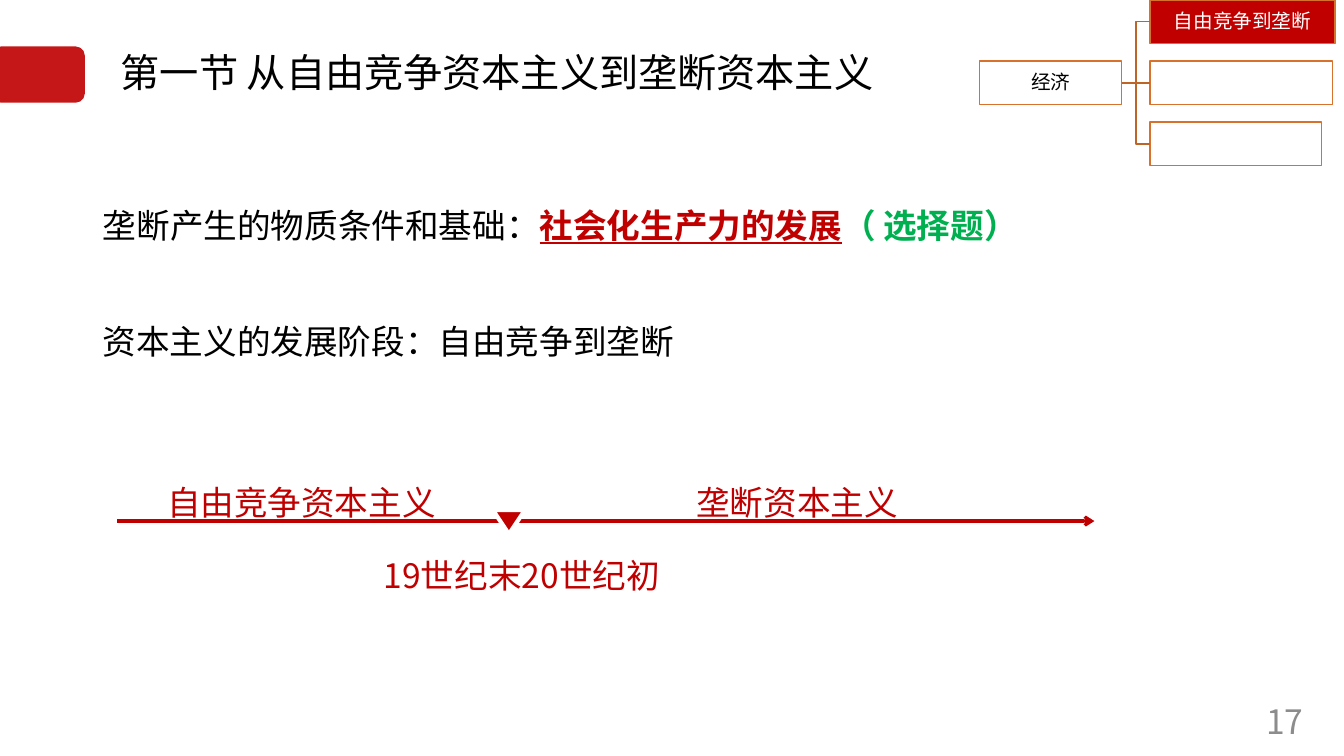
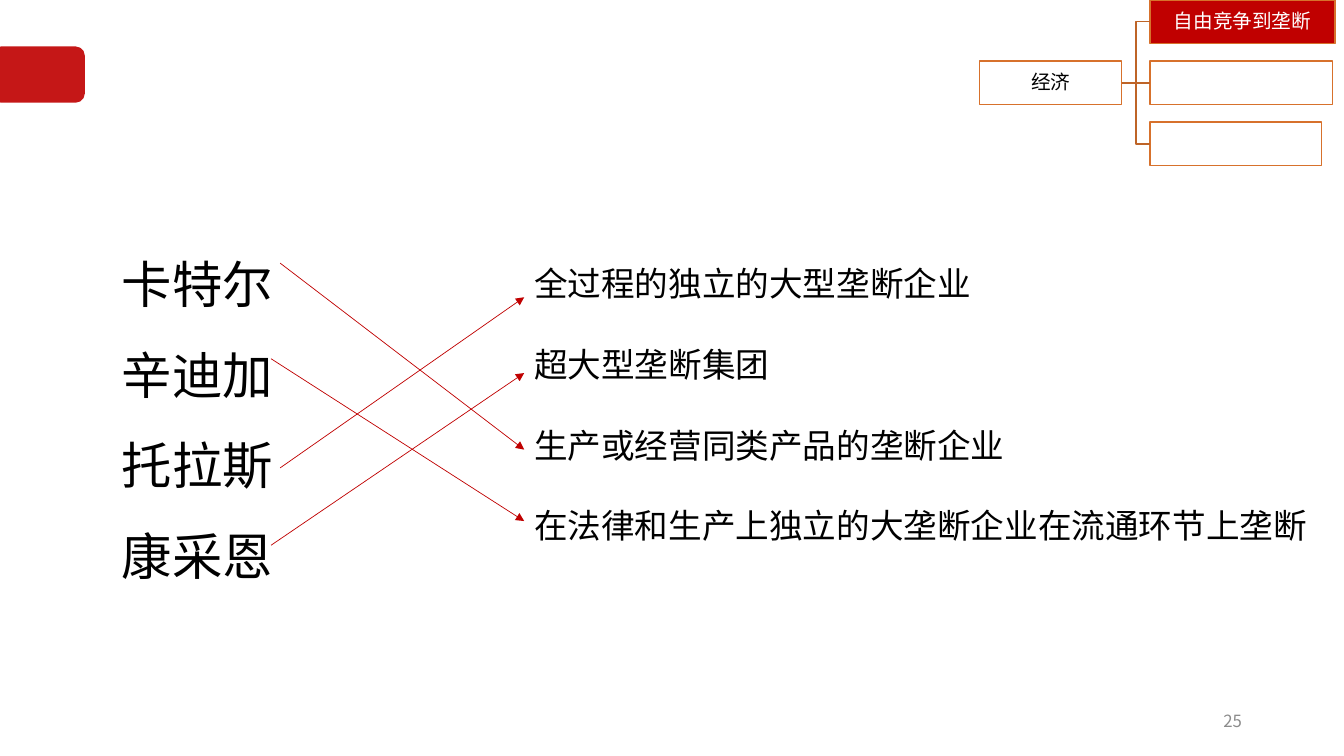
from dataclasses import dataclass
from typing import Optional

from lxml.etree import SubElement
from pptx import Presentation
from pptx.dml.color import RGBColor
from pptx.enum.shapes import MSO_CONNECTOR as Route, MSO_SHAPE as Preset
from pptx.enum.text import MSO_ANCHOR as Anchor, MSO_AUTO_SIZE as AutoSize, PP_ALIGN as Align
from pptx.oxml.ns import qn
from pptx.shapes.autoshape import Shape
from pptx.shapes.connector import Connector
from pptx.slide import Slide
from pptx.text.text import TextFrame, _Paragraph as Paragraph
from pptx.util import Cm, Pt

FONT = "Noto Sans CJK SC"
RED = RGBColor(0xC0, 0x00, 0x00)
GREEN = RGBColor(0x00, 0xB0, 0x50)
BLACK = RGBColor(0x00, 0x00, 0x00)
WHITE = RGBColor(0xFF, 0xFF, 0xFF)
GREY = RGBColor(0x8C, 0x8C, 0x8C)
ORANGE = RGBColor(0xD7, 0x71, 0x2C)
BROWN = RGBColor(0xBE, 0x64, 0x27)

TREE_ROW_STEP = 1.54
TREE_BOX_HEIGHT = 1.1
DEFINITIONS_LEFT = 13.21


@dataclass(frozen=True)
class Area:
    left: float
    top: float
    width: float
    height: float

    def lengths(self) -> tuple[Cm, Cm, Cm, Cm]:
        return Cm(self.left), Cm(self.top), Cm(self.width), Cm(self.height)


@dataclass(frozen=True)
class Branch:
    text: str
    width: float
    fill: RGBColor


@dataclass(frozen=True)
class Label:
    text: str
    area: Area


@dataclass(frozen=True)
class Match:
    left: float
    top: float
    end_top: float


BRANCHES = [
    Branch("自由竞争到垄断", 4.67, RED),
    Branch("", 4.6, WHITE),
    Branch("", 4.32, WHITE),
]
TIMELINE_LABELS = [
    Label("19世纪末20世纪初", Area(9.42, 13.36, 8.28, 1.8)),
    Label("自由竞争资本主义", Area(3.96, 11.51, 8.36, 3.15)),
    Label("垄断资本主义", Area(17.3, 11.51, 6.22, 3.15)),
]
TERMS = ["卡特尔", "辛迪加", "托拉斯", "康采恩"]
DEFINITIONS = [
    "全过程的独立的大型垄断企业",
    "超大型垄断集团",
    "生产或经营同类产品的垄断企业",
    "在法律和生产上独立的大垄断企业在流通环节上垄断",
]
MATCHES = [
    Match(7.06, 6.63, 11.33),
    Match(6.83, 9.04, 13.13),
    Match(7.06, 11.79, 7.49),
    Match(6.83, 13.74, 9.4),
]


def add_span(para: Paragraph, text: str, *, size: float = 24, color: RGBColor = BLACK,
             bold: bool = False, underline: bool = False, spacing: float = 1,
             align: Align = Align.LEFT) -> None:
    para.line_spacing = spacing
    para.alignment = align
    para.space_before = Pt(0)
    span = para.add_run()
    span.text = text
    font = span.font
    font.name, font.size = FONT, Pt(size)
    font.bold, font.underline = bold, underline
    font.color.rgb = color
    SubElement(font._element, qn("a:ea"), typeface=FONT)


def fill_lines(frame: TextFrame, lines: list[str], **style) -> None:
    for index, line in enumerate(lines):
        para = frame.add_paragraph() if index else frame.paragraphs[0]
        add_span(para, line, **style)


def add_textbox(page: Slide, area: Area, lines: list[str], *,
                anchor: Anchor = Anchor.TOP, **style) -> None:
    frame = page.shapes.add_textbox(*area.lengths()).text_frame
    frame.word_wrap = True
    frame.vertical_anchor = anchor
    fill_lines(frame, lines, **style)


def place_placeholder(holder: Shape, area: Area, anchor: Anchor) -> Paragraph:
    holder.left, holder.top, holder.width, holder.height = area.lengths()
    frame = holder.text_frame
    frame.auto_size = AutoSize.NONE
    frame.vertical_anchor = anchor
    return frame.paragraphs[0]


def add_block(page: Slide, preset: Preset, area: Area, *, fill: Optional[RGBColor] = None,
              border: Optional[RGBColor] = None, border_width: float = 1) -> Shape:
    block = page.shapes.add_shape(preset, *area.lengths())
    block.shadow.inherit = False
    if fill is None:
        block.fill.background()
    else:
        block.fill.solid()
        block.fill.fore_color.rgb = fill
    if border is None:
        block.line.fill.background()
    else:
        block.line.color.rgb = border
        block.line.width = Pt(border_width)
    return block


def add_line(page: Slide, start: tuple[float, float], end: tuple[float, float], *,
             color: RGBColor = RED, width: float = 1, route: Route = Route.STRAIGHT,
             head: Optional[str] = None) -> Connector:
    line = page.shapes.add_connector(route, *(Cm(value) for value in (*start, *end)))
    line.line.color.rgb = color
    line.line.width = Pt(width)
    properties = line.element.spPr
    if head:
        SubElement(properties.find(qn("a:ln")), qn("a:tailEnd"), type=head)
    SubElement(properties, qn("a:effectLst"))
    return line


def add_master_tab(deck: Presentation, page: Slide) -> None:
    tab = add_block(page, Preset.ROUNDED_RECTANGLE, Area(-0.2, 1.17, 2.34, 1.42), fill=RED)
    SubElement(tab.element.spPr.find(f".//{qn('a:srgbClr')}"), qn("a:alpha"), val="91000")
    tab.element.find(f".//{qn('p:cNvPr')}").set("id", "50")
    deck.slide_master.shapes.element.append(tab.element)


def add_tree_box(page: Slide, area: Area, text: str, fill: Optional[RGBColor],
                 color: RGBColor) -> Shape:
    box = add_block(page, Preset.RECTANGLE, area, fill=fill, border=ORANGE)
    if text:
        frame = box.text_frame
        frame.word_wrap = True
        frame.vertical_anchor = Anchor.MIDDLE
        frame.margin_left = frame.margin_right = Cm(0.03)
        frame.margin_top = frame.margin_bottom = Cm(0.03)
        fill_lines(frame, [text], size=14, color=color, spacing=0.9, align=Align.CENTER)
    return box


def add_topic_tree(page: Slide) -> None:
    root_area = Area(24.69, TREE_ROW_STEP, 3.58, TREE_BOX_HEIGHT)
    root = add_tree_box(page, root_area, "经济", None, BLACK)
    for row, branch in enumerate(BRANCHES):
        area = Area(28.98, row * TREE_ROW_STEP, branch.width, TREE_BOX_HEIGHT)
        box = add_tree_box(page, area, branch.text, branch.fill, WHITE)
        route = Route.STRAIGHT if area.top == root_area.top else Route.ELBOW
        link = add_line(page, (0, 0), (1, 1), color=BROWN, route=route)
        link.begin_connect(root, 3)
        link.end_connect(box, 1)


def add_page_number(page: Slide, number: str, width: float, size: float) -> None:
    add_textbox(page, Area(23.93, 17.65, width, 1.02), [number], anchor=Anchor.MIDDLE,
                size=size, color=GREY, align=Align.RIGHT)


def add_timeline(page: Slide) -> None:
    add_line(page, (2.95, 13.13), (27.58, 13.13), width=2.25, head="arrow")
    marker = add_block(page, Preset.ISOSCELES_TRIANGLE, Area(12.42, 12.85, 0.81, 0.61),
                       fill=RED, border=WHITE, border_width=3)
    marker.rotation = 180
    for label in TIMELINE_LABELS:
        add_textbox(page, label.area, [label.text], color=RED, spacing=1.5)


def build_stages(page: Slide) -> None:
    title = place_placeholder(page.shapes.title, Area(2.79, 0.99, 29.21, 1.8), Anchor.MIDDLE)
    add_span(title, "第一节 从自由竞争资本主义到垄断资本主义", size=28, spacing=0.9)
    body = place_placeholder(page.placeholders[1], Area(2.34, 4.52, 30, 2.51), Anchor.TOP)
    properties = body._p.get_or_add_pPr()
    properties.set("marL", "0")
    properties.set("indent", "0")
    SubElement(properties, qn("a:buNone"))
    add_span(body, "垄断产生的物质条件和基础：", spacing=1.5)
    add_span(body, "社会化生产力的发展", color=RED, bold=True, underline=True, spacing=1.5)
    add_span(body, "（ 选择题）", color=GREEN, bold=True, spacing=1.5)
    add_textbox(page, Area(2.34, 7.95, 18.08, 1.27), ["资本主义的发展阶段：自由竞争到垄断"])
    add_timeline(page)
    add_topic_tree(page)
    add_page_number(page, "17", 9.17, 24)


def build_matching(page: Slide) -> None:
    add_textbox(page, Area(2.82, 5.49, 9.93, 9.22), TERMS, size=36, spacing=1.5)
    add_textbox(page, Area(DEFINITIONS_LEFT, 5.49, 20.65, 10.52), DEFINITIONS, spacing=2)
    for match in MATCHES:
        add_line(page, (match.left, match.top), (DEFINITIONS_LEFT, match.end_top),
                 width=0.5, head="triangle")
    add_topic_tree(page)
    add_page_number(page, "25", 7.62, 12)


def main() -> None:
    deck = Presentation()
    deck.slide_width, deck.slide_height = Cm(33.87), Cm(19.05)
    stages = deck.slides.add_slide(deck.slide_layouts[1])
    add_master_tab(deck, stages)
    build_stages(stages)
    build_matching(deck.slides.add_slide(deck.slide_layouts[6]))
    deck.save("out.pptx")


if __name__ == "__main__":
    main()
